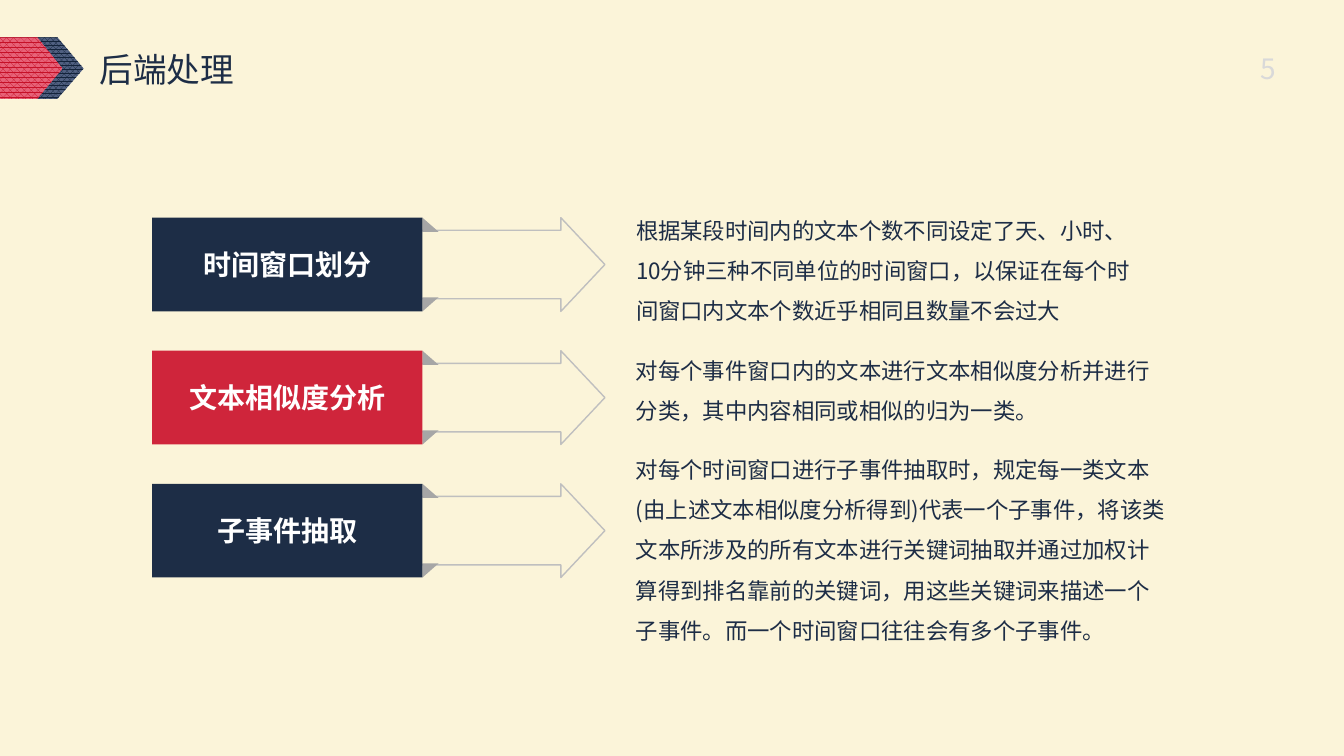
from lxml.etree import SubElement
from pptx import Presentation
from pptx.dml.color import RGBColor
from pptx.enum.dml import MSO_PATTERN as PATTERN
from pptx.enum.shapes import MSO_SHAPE as SHAPE
from pptx.enum.text import MSO_ANCHOR as ANCHOR, PP_ALIGN as ALIGN
from pptx.oxml.ns import qn
from pptx.util import Pt

PX = 9144  # EMU, 100 px to the inch
FONT = "Noto Sans CJK SC"
NAVY, RED, CREAM, WHITE = "1D2D46", "CF253B", "FBF4D9", "FFFFFF"
FOLD_GREY, ARROW_GREY, NUMBER_GREY = "A6A6A6", "BFBFBF", "D9D9D9"

STEP_TOP, STEP_PITCH = 216, 132
# label, colour, explanation, (top, width, height) of the explanation
STEPS = [
    ("时间窗口划分", NAVY,
     "根据某段时间内的文本个数不同设定了天、小时、10分钟三种不同单位的时间窗口，"
     "以保证在每个时间窗口内文本个数近乎相同且数量不会过大", (197, 519, 131)),
    ("文本相似度分析", RED,
     "对每个事件窗口内的文本进行文本相似度分析并进行分类，其中内容相同或相似的归为一类。",
     (336, 546, 91)),
    ("子事件抽取", NAVY,
     "对每个时间窗口进行子事件抽取时，规定每一类文本(由上述文本相似度分析得到)"
     "代表一个子事件，将该类文本所涉及的所有文本进行关键词抽取并通过加权计算得到"
     "排名靠前的关键词，用这些关键词来描述一个子事件。而一个时间窗口往往会有多个子事件。",
     (434, 546, 212)),
]


def rgb(hex_colour):
    return RGBColor.from_string(hex_colour)


def emu(*lengths):
    return [length * PX for length in lengths]


def write(frame, text, size, colour, align=ALIGN.LEFT, anchor=ANCHOR.TOP,
          bold=False, spacing=1.0):
    frame.word_wrap = True
    frame.vertical_anchor = anchor
    paragraph = frame.paragraphs[0]
    paragraph.text = text
    paragraph.alignment = align
    paragraph.line_spacing = spacing
    font = paragraph.font
    font.size, font.bold, font.name = Pt(size), bold, FONT
    font.color.rgb = rgb(colour)
    SubElement(font._rPr, qn("a:ea")).set("typeface", FONT)


def add_text(slide, box, text, size, colour, **style):
    write(slide.shapes.add_textbox(*emu(*box)).text_frame, text, size, colour, **style)


def add_solid(slide, preset, box, fill, line=None):
    shape = slide.shapes.add_shape(preset, *emu(*box))
    shape.shadow.inherit = False
    shape.fill.solid()
    shape.fill.fore_color.rgb = rgb(fill)
    if line:
        shape.line.color.rgb = rgb(line)
        shape.line.width = Pt(1)
    else:
        shape.line.fill.background()
    return shape


def add_pennant(slide, box, shoulder, pattern, fore, back):
    """Patterned bar whose right end narrows to a point from the shoulder on."""
    left, top, width, height = box
    right, bottom = left + width, top + height
    builder = slide.shapes.build_freeform(left, top, scale=PX)
    builder.add_line_segments([(left + shoulder, top), (right, top + height / 2),
                               (left + shoulder, bottom), (left, bottom)])
    pennant = builder.convert_to_shape()
    pennant.shadow.inherit = False
    pennant.line.fill.background()
    pennant.fill.patterned()
    pennant.fill.pattern = pattern
    pennant.fill.fore_color.rgb = rgb(fore)
    pennant.fill.back_color.rgb = rgb(back)


def add_header(slide, box, title, number):
    left, top, width, height = box
    add_pennant(slide, (left, top, 83, height), 57, PATTERN.PERCENT_75, "13233B", "506081")
    add_pennant(slide, (left, top, 62, height), 37, PATTERN.PERCENT_70, "C61027", "E76278")
    add_text(slide, (left + 89, top + 11, 862, 47), title, 24, NAVY,
             anchor=ANCHOR.MIDDLE, spacing=0.9)
    add_text(slide, (left + width - 100, top + 7, 100, 47), number, 20, NUMBER_GREY,
             align=ALIGN.RIGHT, anchor=ANCHOR.MIDDLE)


def add_step(slide, box, label, colour):
    """Labelled ribbon with two folded corners, and the arrow that leaves it."""
    left, top, width, height = box
    ribbon_width, fold_width, fold_height = 268, 16, 14
    arrow = add_solid(slide, SHAPE.RIGHT_ARROW, (left + 149, top, width - 149, height),
                      CREAM, ARROW_GREY)
    arrow.adjustments[0], arrow.adjustments[1] = 0.73, 0.47

    for fold_top, flipped in ((top, False), (top + height - fold_height, True)):
        fold = add_solid(slide, SHAPE.RIGHT_TRIANGLE,
                         (left + ribbon_width, fold_top, fold_width, fold_height), FOLD_GREY)
        if flipped:
            fold._element.spPr.xfrm.set("flipV", "1")

    ribbon = add_solid(slide, SHAPE.RECTANGLE, (left, top, ribbon_width, height), colour)
    write(ribbon.text_frame, label, 20, WHITE, align=ALIGN.CENTER,
          anchor=ANCHOR.MIDDLE, bold=True)


def main():
    deck = Presentation()
    deck.slide_width, deck.slide_height = emu(1333, 750)
    slide = deck.slides.add_slide(deck.slide_layouts[6])
    slide.background.fill.solid()
    slide.background.fill.fore_color.rgb = rgb(CREAM)

    add_header(slide, (0, 37, 1275, 61), "后端处理", "5")
    for row, (label, colour, explanation, (top, width, height)) in enumerate(STEPS):
        add_step(slide, (151, STEP_TOP + row * STEP_PITCH, 449, 93), label, colour)
        add_text(slide, (621, top, width, height), explanation, 16, NAVY, spacing=1.5)
    deck.save("out.pptx")


if __name__ == "__main__":
    main()
